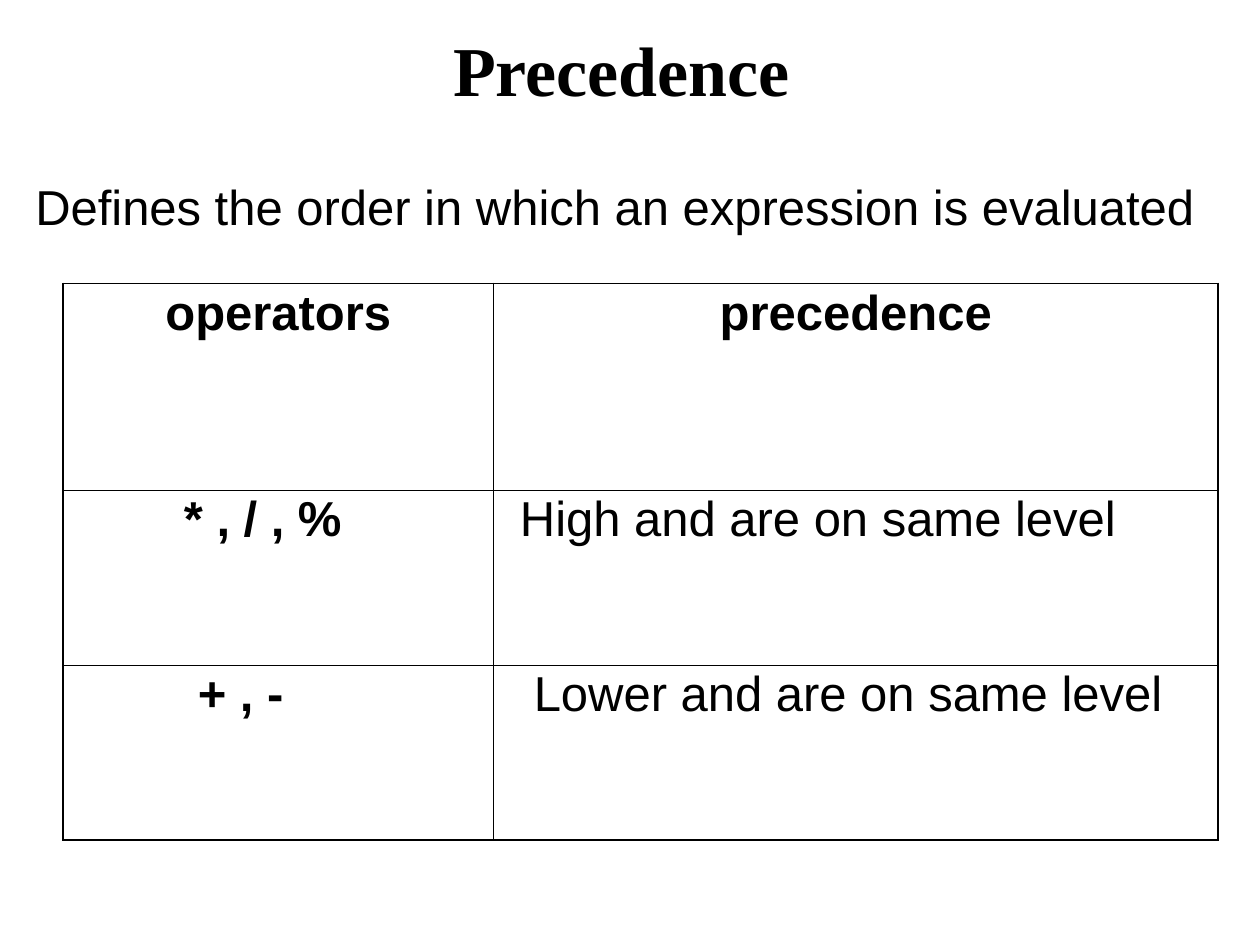
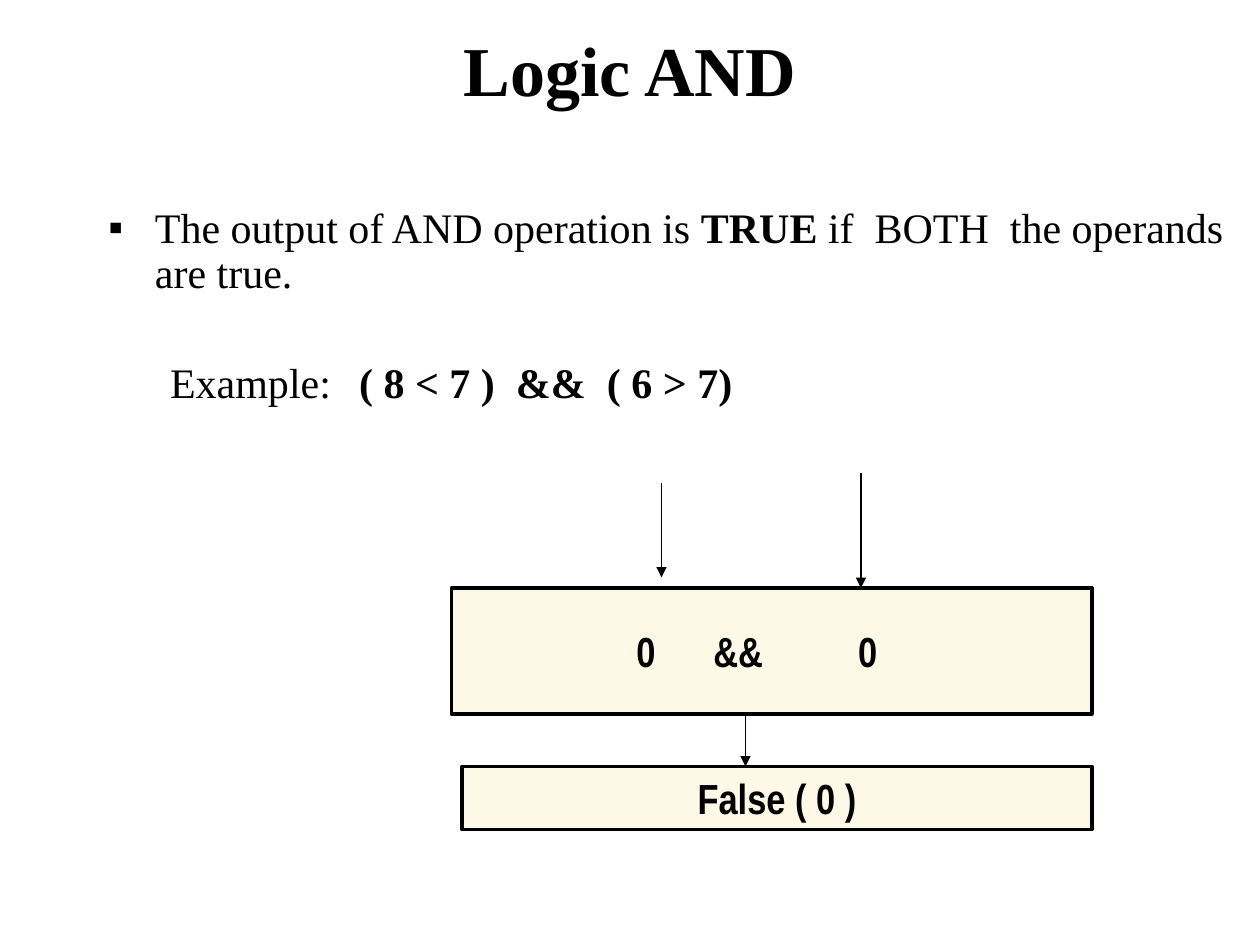
"""Build two slides on operator precedence and the logical AND."""
import pptx
import pptx.dml.color
import pptx.enum.shapes
import pptx.enum.text
import pptx.oxml.ns
import pptx.oxml.xmlchemy
import pptx.util
import lxml.etree

BLACK, CREAM = "000000", "FEF9E6"
SERIF, SANS, NARROW = "Times New Roman", "Arial", "Arial Narrow"
PP, MSO = pptx.enum.text.PP_ALIGN, pptx.enum.text.MSO_ANCHOR
qn = pptx.oxml.ns.qn


def rgb(value):
    """Turn a hex string into a colour."""
    return pptx.dml.color.RGBColor.from_string(value)


def add_run(p, text, size, name, bold=False):
    """Append one formatted run to a paragraph."""
    r = p.add_run()
    r.text = text
    r.font.size = pptx.util.Pt(size)
    r.font.name = name
    r.font.bold = bold
    r.font.color.rgb = rgb(BLACK)


prs = pptx.Presentation()
prs.slide_width = pptx.util.Inches(10)
prs.slide_height = pptx.util.Inches(7.5)
u = prs.slide_width // 120  # the grid has 120 columns and 90 rows

slides = []
for title, body_area in [
    ("Precedence ", (2.16, 16.2, 114, 6.84)),
    ("Logic AND", (9, 19.1, 110, 24.8)),
]:
    s = prs.slides.add_slide(prs.slide_layouts[1])
    for sp, area in zip(s.placeholders, [(3, 0, 114, 13), body_area]):
        sp.left, sp.top, sp.width, sp.height = [int(n * u) for n in area]
        sp.text_frame.auto_size = pptx.enum.text.MSO_AUTO_SIZE.NONE
        sp.text_frame.word_wrap = True
    tf = s.shapes.title.text_frame
    tf.vertical_anchor = MSO.MIDDLE
    tf.paragraphs[0].alignment = PP.CENTER
    add_run(tf.paragraphs[0], title, 40, SERIF, True)
    slides.append(s)
precedence, logic_and = slides

p = precedence.placeholders[1].text_frame.paragraphs[0]
pPr = p._p.get_or_add_pPr()
pPr.set("marL", "0")
pPr.set("indent", "0")
lxml.etree.SubElement(pPr, qn("a:buNone"))
p.space_before = pptx.util.Pt(0)
add_run(p, "Defines the order in which an expression is evaluated", 28, SANS)

rows = [
    [("operators", True, None), ("precedence", True, None)],
    [("* , / , %", True, 0.86), ("High and are on same level", False, 0.11)],
    [("+ , -", True, 0.97), ("Lower and are on same level", False, 0.22)],
]
table = precedence.shapes.add_table(3, 2, 6 * u, 27 * u, 110 * u, 53 * u).table
table.first_row = table.horz_banding = False
for column, width in zip(table.columns, (41, 69)):
    column.width = width * u
for row, height in zip(table.rows, (19.67, 16.67, 16.67)):
    row.height = int(height * u)
for i, row in enumerate(rows):
    for j, (text, bold, indent) in enumerate(row):
        cell = table.cell(i, j)
        p = cell.text_frame.paragraphs[0]
        p.line_spacing = 0.93
        if indent is None:
            p.alignment = PP.CENTER
        else:
            cell.margin_left = pptx.util.Inches(0.1 + indent)
        add_run(p, text, 28, SANS, bold)
        tcPr = cell._tc.get_or_add_tcPr()
        outer = {"L": j == 0, "R": j == 1, "T": i == 0, "B": i == 2}
        for side, is_outer in outer.items():
            ln = lxml.etree.SubElement(tcPr, qn("a:ln" + side))
            ln.set("w", str(pptx.util.Pt(1.08 if is_outer else 0.45)))
            fill = lxml.etree.SubElement(ln, qn("a:solidFill"))
            lxml.etree.SubElement(fill, qn("a:srgbClr")).set("val", BLACK)
        cell.fill.background()

tf = logic_and.placeholders[1].text_frame
rule, example = tf.paragraphs[0], tf.add_paragraph()
pPr = rule._p.get_or_add_pPr()
pPr.set("marL", str(pptx.util.Inches(0.38)))
pPr.set("indent", str(pptx.util.Inches(-0.37)))
lxml.etree.SubElement(pPr, qn("a:buChar")).set("char", "▪")
pPr = example._p.get_or_add_pPr()
pPr.set("marL", "0")
pPr.set("indent", "0")
lxml.etree.SubElement(pPr, qn("a:buNone"))

boxes = []
for area in [(43, 56, 61, 12), (44, 73, 60, 6)]:
    sp = logic_and.shapes.add_shape(
        pptx.enum.shapes.MSO_SHAPE.RECTANGLE, *[n * u for n in area])
    sp.shadow.inherit = False
    sp.fill.solid()
    sp.fill.fore_color.rgb = rgb(CREAM)
    sp.line.color.rgb = rgb(BLACK)
    sp.line.width = pptx.util.Pt(2)
    sp.text_frame.word_wrap = True
    sp.text_frame.vertical_anchor = MSO.MIDDLE
    boxes.append(sp.text_frame.paragraphs[0])
values, result = boxes
values.alignment, result.alignment = PP.LEFT, PP.CENTER

for p, stops in [(example, (0.5, 3.37)), (values, (1.37, 1.98, 3.13))]:
    tabs = lxml.etree.SubElement(p._p.get_or_add_pPr(), qn("a:tabLst"))
    for stop in stops:
        tab = lxml.etree.SubElement(tabs, qn("a:tab"))
        tab.set("pos", str(pptx.util.Inches(stop)))
        tab.set("algn", "l")

for p, before in [(rule, 0), (example, 37)]:
    p.line_spacing = 0.9
    p.space_before = pptx.util.Pt(before)
add_run(rule, "The output of AND operation is ", 24, SERIF)
add_run(rule, "TRUE", 24, SERIF, True)
add_run(rule, " if  BOTH  the operands are true.", 24, SERIF)
add_run(example, "\tExample:\t", 24, SERIF)
add_run(example, "( 8 < 7 )  &&  ( 6 > 7)", 24, SERIF, True)
add_run(values, "\t0\t&&\t0", 24, NARROW, True)
add_run(result, "False ( 0 )", 24, NARROW, True)

for x, top, bottom in [(63, 46, 55), (82, 45, 56), (71, 68, 73)]:
    arrow = logic_and.shapes.add_connector(
        pptx.enum.shapes.MSO_CONNECTOR.STRAIGHT, x * u, top * u, x * u, bottom * u)
    arrow.line.color.rgb = rgb(BLACK)
    arrow.line.width = pptx.util.Pt(1)
    ln = arrow.line._get_or_add_ln()
    lxml.etree.SubElement(ln, qn("a:tailEnd")).set("type", "triangle")
    lxml.etree.SubElement(arrow._element.spPr, qn("a:effectLst"))

prs.save("out.pptx")
